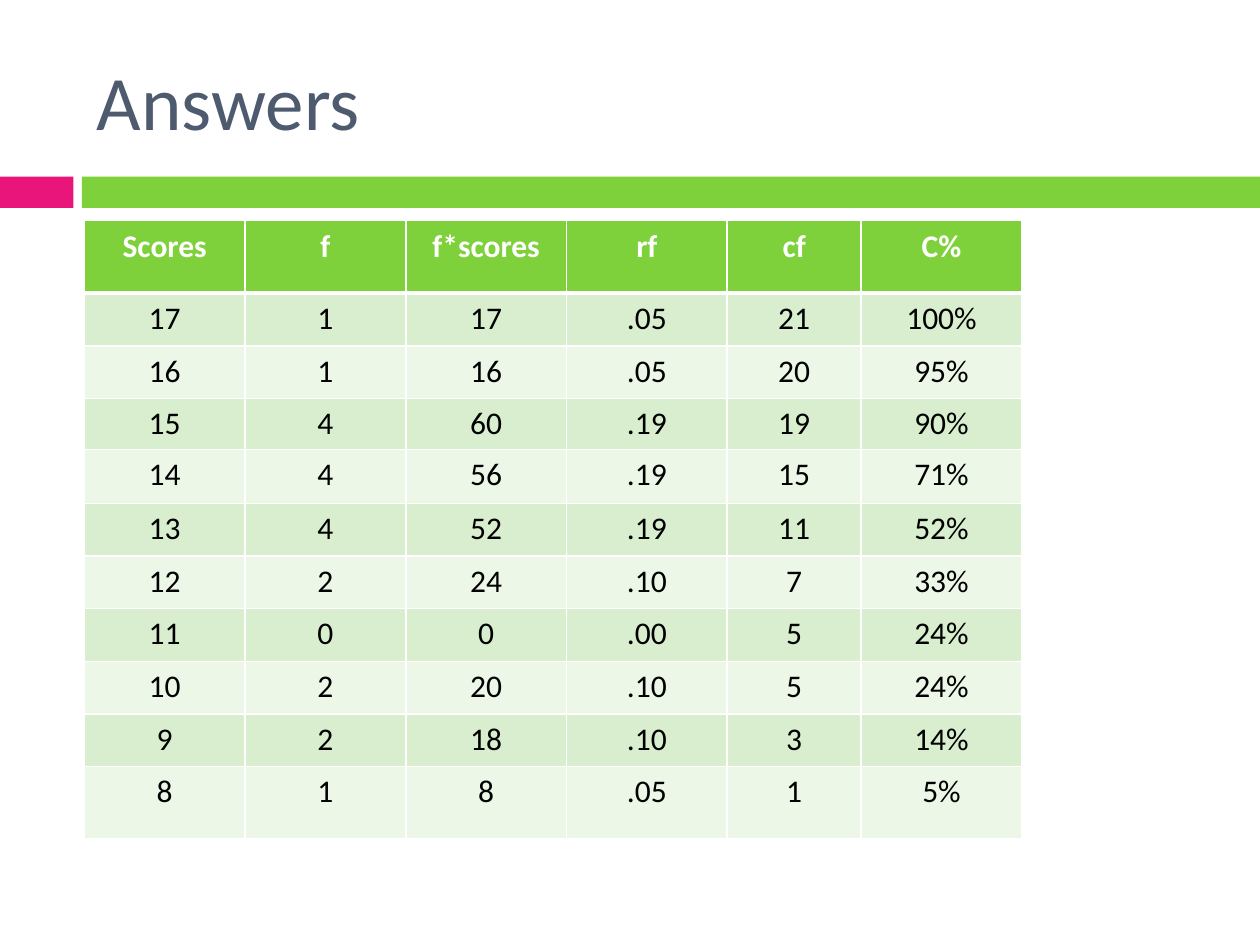
from dataclasses import dataclass

from lxml import etree
from pptx import Presentation
from pptx import util as u
from pptx.dml.color import RGBColor
from pptx.enum import shapes, text
from pptx.oxml import ns

FONT = "Calibri"
COLORS = {
    "pink": "EA157A",
    "green": "7FD13B",
    "slate": "4E5B6F",
    "white": "FFFFFF",
    "black": "000000",
    "band_dark": "D8EECE",
    "band_light": "ECF7E8",
}
HEADERS = ["Scores", "f", "f*scores", "rf", "cf", "C%"]
SCORES = [
    ["17", "1", "17", ".05", "21", "100%"],
    ["16", "1", "16", ".05", "20", "95%"],
    ["15", "4", "60", ".19", "19", "90%"],
    ["14", "4", "56", ".19", "15", "71%"],
    ["13", "4", "52", ".19", "11", "52%"],
    ["12", "2", "24", ".10", "7", "33%"],
    ["11", "0", "0", ".00", "5", "24%"],
    ["10", "2", "20", ".10", "5", "24%"],
    ["9", "2", "18", ".10", "3", "14%"],
    ["8", "1", "8", ".05", "1", "5%"],
]
COL_WIDTHS = [3.235] * 4 + [2.69, 3.235]
COL_WIDTHS = [3.24, 3.24, 3.24, 3.24, 2.7, 3.24]
ROW_HEIGHTS = [1.46, 1.06, 1.06, 1.03, 1.09] + [1.06] * 5 + [1.46]


@dataclass
class Bar:
    left: float
    width: float
    color: str


@dataclass
class CellStyle:
    fill: str
    color: str
    bold: bool
    top: float
    bottom: float


BARS = [Bar(0, 1.48, "pink"), Bar(1.65, 23.75, "green")]


def rgb(name: str) -> RGBColor:
    return RGBColor.from_string(COLORS[name])


def format_run(p, size: float, color: str, bold: bool = False) -> None:
    for r in p.runs:
        r.font.name = FONT
        r.font.size = u.Pt(size)
        r.font.bold = bold
        r.font.color.rgb = rgb(color)


def draw_bar(s, bar: Bar) -> None:
    sp = s.shapes.add_shape(
        shapes.MSO_SHAPE.RECTANGLE,
        u.Cm(bar.left), u.Cm(3.56), u.Cm(bar.width), u.Cm(0.63),
    )
    sp.shadow.inherit = False
    sp.fill.solid()
    sp.fill.fore_color.rgb = rgb(bar.color)
    sp.line.fill.background()


def draw_title(s, title: str) -> None:
    sp = s.shapes.add_textbox(u.Cm(1.7), u.Cm(0.64), u.Cm(22.66), u.Cm(2.74))
    tf = sp.text_frame
    tf.word_wrap = True
    tf.vertical_anchor = text.MSO_ANCHOR.MIDDLE
    tf.text = title
    format_run(tf.paragraphs[0], 44, "slate")


def set_borders(cell, style: CellStyle) -> None:
    tc_pr = cell._tc.get_or_add_tcPr()
    widths = {"lnL": 1, "lnR": 1, "lnT": style.top, "lnB": style.bottom}
    for i, (tag, width) in enumerate(widths.items()):
        ln = etree.Element(ns.qn(f"a:{tag}"), w=str(u.Pt(width)))
        fill = etree.SubElement(ln, ns.qn("a:solidFill"))
        etree.SubElement(fill, ns.qn("a:srgbClr"), val=COLORS["white"])
        tc_pr.insert(i, ln)


def fill_cell(cell, value: str, style: CellStyle) -> None:
    cell.text_frame.text = value
    p = cell.text_frame.paragraphs[0]
    p.alignment = text.PP_ALIGN.CENTER
    format_run(p, 18, style.color, style.bold)
    cell.fill.solid()
    cell.fill.fore_color.rgb = rgb(style.fill)
    set_borders(cell, style)


def row_style(row: int) -> CellStyle:
    if row == 0:
        return CellStyle("green", "white", True, 1, 3)
    band = "band_dark" if row % 2 else "band_light"
    return CellStyle(band, "black", False, 3 if row == 1 else 1, 1)


def draw_table(s, rows: list[list[str]]) -> None:
    table = s.shapes.add_table(
        len(rows), len(rows[0]), u.Cm(1.7), u.Cm(4.45),
        u.Cm(sum(COL_WIDTHS)), u.Cm(sum(ROW_HEIGHTS)),
    ).table
    for col, width in zip(table.columns, COL_WIDTHS):
        col.width = u.Cm(width)
    for row, height in zip(table.rows, ROW_HEIGHTS):
        row.height = u.Cm(height)
    for i, values in enumerate(rows):
        for j, value in enumerate(values):
            fill_cell(table.cell(i, j), value, row_style(i))


def main() -> None:
    prs = Presentation()
    prs.slide_width, prs.slide_height = u.Cm(25.4), u.Cm(19.05)
    s = prs.slides.add_slide(prs.slide_layouts[6])
    for bar in BARS:
        draw_bar(s, bar)
    draw_title(s, "Answers")
    draw_table(s, [HEADERS] + SCORES)
    prs.save("out.pptx")


if __name__ == "__main__":
    main()
